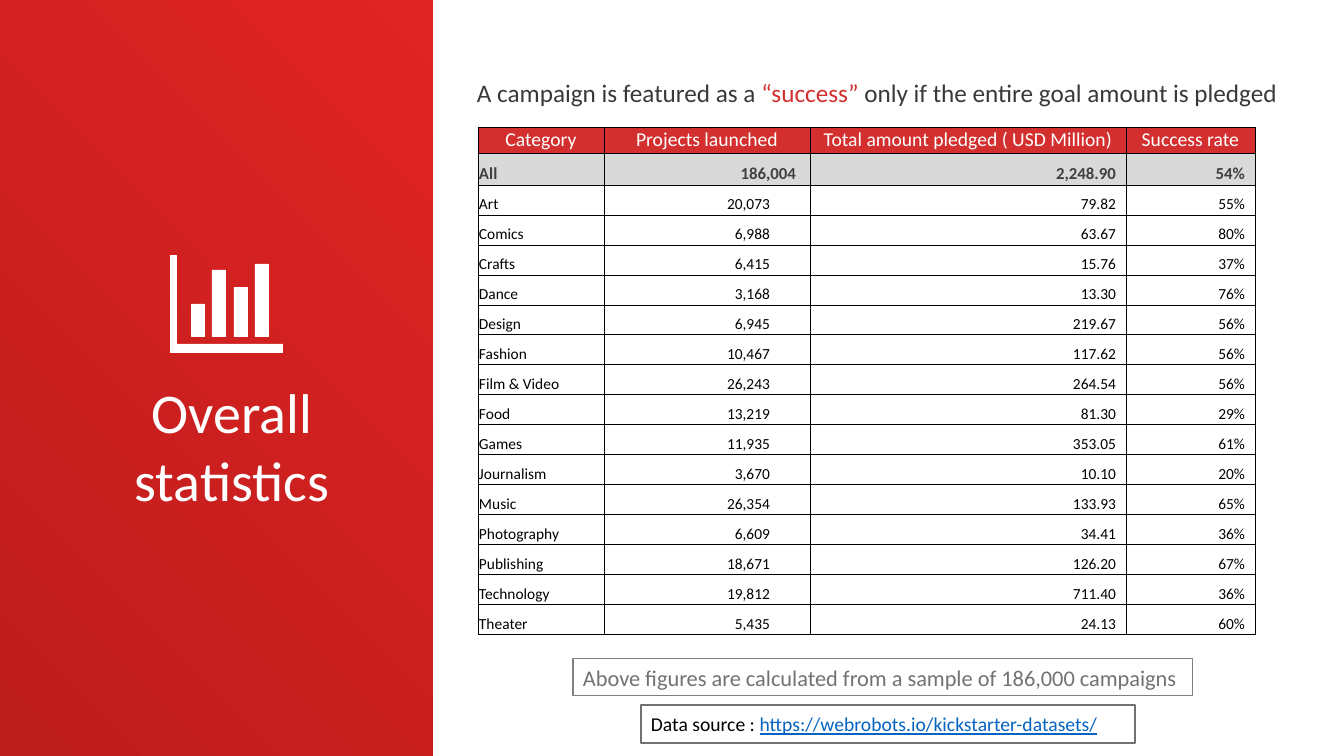
import pptx
import pptx.util
import pptx.oxml
import pptx.oxml.ns
import pptx.dml.color
import pptx.enum.shapes
import pptx.enum.text

PX = 12192000 / 1344
FONT = "Calibri"
INK = {
    "deep": "BD1D1D", "bright": "E02323", "red": "D42F2F", "white": "FFFFFF",
    "head": "3B3838", "note": "767171", "edge": "808080", "total": "404040",
    "band": "D9D9D9", "black": "000000", "link": "0563C1",
}
ALIGN = pptx.enum.text.PP_ALIGN
ANCHOR = pptx.enum.text.MSO_ANCHOR

WIDTHS = [126, 206, 316, 129]
HEADS = ["Category", "Projects launched", "Total amount pledged ( USD Million)",
         "Success rate"]
TOTAL = ("All", "186,004", "2,248.90", "54%")
ROWS = [
    ("Art", "20,073", "79.82", "55%"),
    ("Comics", "6,988", "63.67", "80%"),
    ("Crafts", "6,415", "15.76", "37%"),
    ("Dance", "3,168", "13.30", "76%"),
    ("Design", "6,945", "219.67", "56%"),
    ("Fashion", "10,467", "117.62", "56%"),
    ("Film & Video", "26,243", "264.54", "56%"),
    ("Food", "13,219", "81.30", "29%"),
    ("Games", "11,935", "353.05", "61%"),
    ("Journalism", "3,670", "10.10", "20%"),
    ("Music", "26,354", "133.93", "65%"),
    ("Photography", "6,609", "34.41", "36%"),
    ("Publishing", "18,671", "126.20", "67%"),
    ("Technology", "19,812", "711.40", "36%"),
    ("Theater", "5,435", "24.13", "60%"),
]
BARS = [(191, 304), (212, 270), (234, 287), (255, 264)]


def px(count):
    return pptx.util.Emu(round(count * PX))


def rgb(name):
    return pptx.dml.color.RGBColor.from_string(INK[name])


def style(para, size, ink=None, align=ALIGN.LEFT, bold=False):
    para.alignment = align
    font = para.font
    font.name, font.size, font.bold = FONT, pptx.util.Pt(size), bold
    if ink:
        font.color.rgb = rgb(ink)


def add_text(slide, area, parts, size, align=ALIGN.LEFT, anchor=ANCHOR.TOP,
             edge=None, weight=1):
    """Add a text box; parts lists pairs of text and ink. Return its runs."""
    box = slide.shapes.add_textbox(*map(px, area))
    frame = box.text_frame
    frame.word_wrap = True
    frame.vertical_anchor = anchor
    if edge:
        box.line.color.rgb = rgb(edge)
        box.line.width = pptx.util.Pt(weight)
    para = frame.paragraphs[0]
    style(para, size, parts[0][1] if len(parts) == 1 else None, align)
    runs = []
    for text, ink in parts:
        run = para.add_run()
        run.text = text
        if len(parts) > 1:
            run.font.color.rgb = rgb(ink)
        runs.append(run)
    return runs


def add_panel(slide):
    kind = pptx.enum.shapes.MSO_SHAPE.RECTANGLE
    panel = slide.shapes.add_shape(kind, 0, 0, px(433), px(756))
    panel.shadow.inherit = False
    panel.line.fill.background()
    panel.fill.gradient()
    panel.fill.gradient_angle = 45
    for stop, ink in zip(panel.fill.gradient_stops, ("deep", "bright")):
        stop.color.rgb = rgb(ink)


def add_icon(slide):
    """Draw the axes and bars as one outline."""
    pen = slide.shapes.build_freeform(283, 353, scale=PX)
    pen.add_line_segments([(170, 353), (170, 255), (177, 255), (177, 344), (283, 344)])
    base, wide = 337, 14
    for left, top in BARS:
        pen.move_to(left + wide, base)
        pen.add_line_segments([(left, base), (left, top), (left + wide, top)])
    icon = pen.convert_to_shape()
    icon.shadow.inherit = False
    icon.fill.solid()
    icon.fill.fore_color.rgb = rgb("white")
    icon.line.fill.background()


def add_edges(cell):
    props = cell._tc.get_or_add_tcPr()
    for side in ("lnL", "lnR", "lnT", "lnB"):
        props.append(pptx.oxml.parse_xml(
            f'<a:{side} {pptx.oxml.ns.nsdecls("a")} w="6350"><a:solidFill>'
            f'<a:srgbClr val="{INK["black"]}"/></a:solidFill></a:{side}>'))


def fill_cell(cell, text, size, ink, align, anchor, fill=None, bold=False, right=1):
    cell.text = text
    style(cell.text_frame.paragraphs[0], size, ink, align, bold)
    cell.vertical_anchor = anchor
    cell.margin_left = cell.margin_top = cell.margin_bottom = px(1)
    cell.margin_right = px(right)
    add_edges(cell)
    if fill:
        cell.fill.solid()
        cell.fill.fore_color.rgb = rgb(fill)
    else:
        cell.fill.background()


def add_stats(slide):
    highs = [26, 32] + [30] * len(ROWS)
    area = (478, 127, sum(WIDTHS), sum(highs))
    table = slide.shapes.add_table(len(highs), len(WIDTHS), *map(px, area)).table
    table.first_row = table.horz_banding = False
    for col, wide in zip(table.columns, WIDTHS):
        col.width = px(wide)
    for row, high in zip(table.rows, highs):
        row.height = px(high)
    for col, text in enumerate(HEADS):
        fill_cell(table.cell(0, col), text, 14, "white", ALIGN.CENTER,
                  ANCHOR.MIDDLE, "red")
    for row, values in enumerate([TOTAL] + ROWS, 1):
        total = row == 1
        size, ink, fill = (12, "total", "band") if total else (11, "black", None)
        for col, text in enumerate(values):
            align = ALIGN.RIGHT if col else ALIGN.LEFT
            right = (14 if total else 40) if col == 1 else 10
            fill_cell(table.cell(row, col), text, size, ink, align,
                      ANCHOR.BOTTOM, fill, total, right)


def main():
    deck = pptx.Presentation()
    deck.slide_width, deck.slide_height = px(1344), px(756)
    slide = deck.slides.add_slide(deck.slide_layouts[6])
    add_panel(slide)
    add_text(slide, (45, 373, 374, 146), [("Overall statistics", "white")], 40,
             ALIGN.CENTER)
    add_icon(slide)
    add_text(slide, (467, 72, 833, 40), [
        ("A campaign is featured as a ", "head"),
        ("“success” ", "red"),
        ("only if the entire goal amount is pledged", "head")], 18)
    add_text(slide, (573, 659, 620, 37), [
        ("Above figures are calculated from a sample of 186,000 campaigns", "note")],
        16, edge="edge", weight=0.75)
    add_stats(slide)
    runs = add_text(slide, (641, 705, 494, 38), [
        ("Data source : ", "black"),
        ("https://webrobots.io/kickstarter-datasets/", "link")],
        14, anchor=ANCHOR.MIDDLE, edge="note")
    runs[-1].font.underline = True
    deck.save("out.pptx")


if __name__ == "__main__":
    main()
